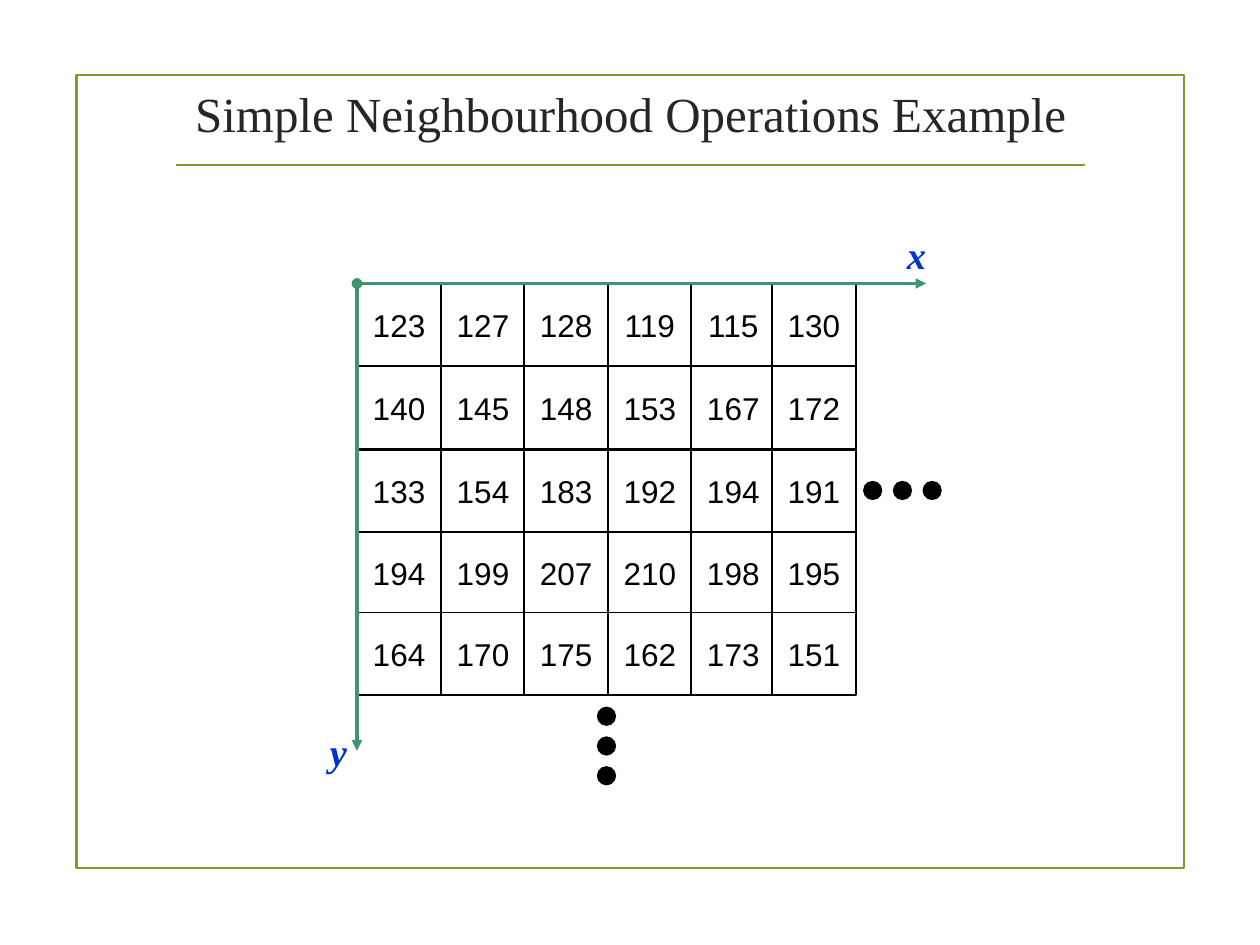
import pptx
import pptx.dml.color
import pptx.enum.shapes
import pptx.enum.text
import pptx.oxml.ns
import pptx.util
from lxml import etree

Pt = pptx.util.Pt
RGBColor = pptx.dml.color.RGBColor
SHAPES = pptx.enum.shapes.MSO_SHAPE
ALIGN = pptx.enum.text.PP_ALIGN
ANCHOR = pptx.enum.text.MSO_ANCHOR

OLIVE = RGBColor(0x83, 0x99, 0x2A)
GREEN = RGBColor(0x3C, 0x97, 0x70)
BLUE = RGBColor(0x00, 0x33, 0xCC)
CHARCOAL = RGBColor(0x26, 0x26, 0x26)
BLACK = RGBColor(0x00, 0x00, 0x00)
WHITE = RGBColor(0xFF, 0xFF, 0xFF)


def write_text(shape, text, size, color, font="Times New Roman", align=ALIGN.CENTER,
               anchor=ANCHOR.MIDDLE, wrap=False, emphasis=False):
    """Fill the shape with one paragraph; emphasis means bold italic."""
    frame = shape.text_frame
    frame.word_wrap = wrap
    frame.vertical_anchor = anchor
    paragraph = frame.paragraphs[0]
    paragraph.alignment = align
    run = paragraph.add_run()
    run.text = text
    run.font.name = font
    run.font.size = Pt(size)
    run.font.bold = run.font.italic = emphasis
    run.font.color.rgb = color


def add_line(start, end, color, width, arrow=False):
    """Draw a straight line; an arrow starts with a dot and ends with a triangle."""
    line = slide.shapes.add_connector(
        pptx.enum.shapes.MSO_CONNECTOR.STRAIGHT, *map(Pt, start + end))
    line.line.color.rgb = color
    line.line.width = Pt(width)
    properties = line._element.spPr
    etree.SubElement(properties, pptx.oxml.ns.qn("a:effectLst"))
    if arrow:
        outline = line.line._get_or_add_ln()
        for tag, kind in (("a:headEnd", "oval"), ("a:tailEnd", "triangle")):
            etree.SubElement(outline, pptx.oxml.ns.qn(tag), type=kind)


presentation = pptx.Presentation()
presentation.slide_width = Pt(720)
presentation.slide_height = Pt(540)
slide = presentation.slides.add_slide(presentation.slide_layouts[6])

# Frame and title
frame_box = slide.shapes.add_shape(SHAPES.RECTANGLE, Pt(43.7), Pt(42.7), Pt(633), Pt(453.6))
frame_box.shadow.inherit = False
frame_box.fill.background()
frame_box.line.color.rgb = OLIVE
frame_box.line.width = Pt(1.25)
add_line((100.5, 94.3), (620, 94.3), OLIVE, 1.25)
title = slide.shapes.add_textbox(Pt(92.6), Pt(37.8), Pt(535.7), Pt(54))
write_text(title, "Simple Neighbourhood Operations Example", 28, CHARCOAL, wrap=True)

# Pixel grid
PIXELS = [
    [123, 127, 128, 119, 115, 130],
    [140, 145, 148, 153, 167, 172],
    [133, 154, 183, 192, 194, 191],
    [194, 199, 207, 210, 198, 195],
    [164, 170, 175, 162, 173, 151],
]
COLUMN_LEFTS = [204, 252, 299.5, 347.3, 395, 441]
ROW_TOPS = [162, 209.3, 257, 304, 350]
CELL_WIDTH, CELL_HEIGHT = 48, 47.3
for top, values in zip(ROW_TOPS, PIXELS):
    for left, value in zip(COLUMN_LEFTS, values):
        cell = slide.shapes.add_shape(
            SHAPES.RECTANGLE, Pt(left), Pt(top), Pt(CELL_WIDTH), Pt(CELL_HEIGHT))
        cell.shadow.inherit = False
        cell.fill.solid()
        cell.fill.fore_color.rgb = WHITE
        cell.line.color.rgb = BLACK
        cell.line.width = Pt(1)
        write_text(cell, str(value), 18, BLACK, font="Arial")

# Axes
origin = (COLUMN_LEFTS[0], ROW_TOPS[0])
for name, end, left, top in (("x", (529.2, origin[1]), 511.2, 128.2),
                             ("y", (origin[0], 429), 181.4, 412.6)):
    add_line(origin, end, GREEN, 2, arrow=True)
    label = slide.shapes.add_textbox(Pt(left), Pt(top), Pt(25), Pt(33.8))
    write_text(label, name, 22, BLUE, align=ALIGN.LEFT, anchor=ANCHOR.TOP, emphasis=True)

# Continuation dots to the right of and below the grid
DOT_SIZE, DOT_STEP = 11, 17
for left, top, step_x, step_y in ((493.2, 274.8, DOT_STEP, 0), (341.1, 403.8, 0, DOT_STEP)):
    for index in range(3):
        dot = slide.shapes.add_shape(
            SHAPES.OVAL, Pt(left + index * step_x), Pt(top + index * step_y),
            Pt(DOT_SIZE), Pt(DOT_SIZE))
        dot.shadow.inherit = False
        dot.fill.solid()
        dot.fill.fore_color.rgb = BLACK
        dot.line.fill.background()

presentation.save("out.pptx")
